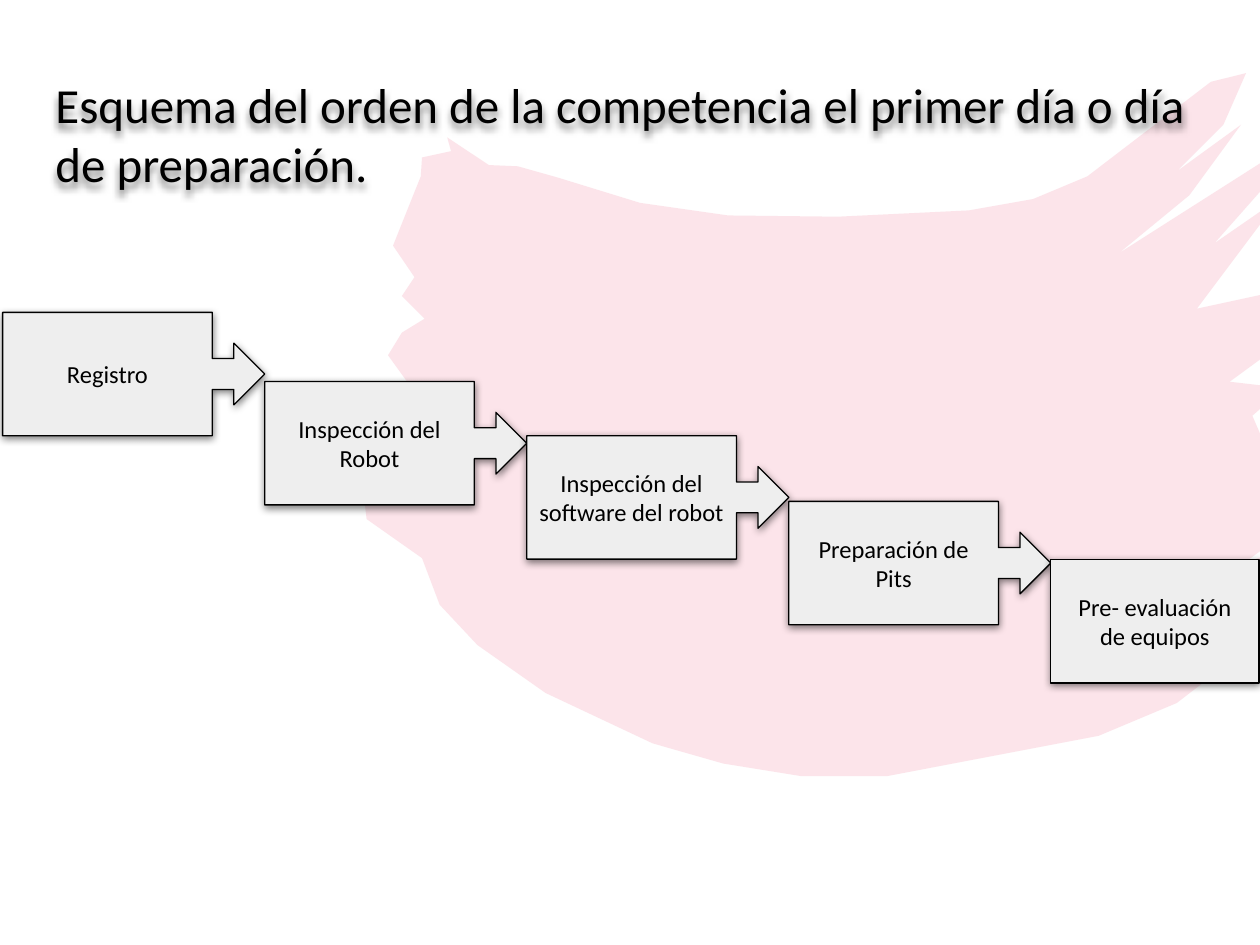
from dataclasses import dataclass

from lxml.etree import SubElement
from pptx import Presentation
from pptx.dml.color import RGBColor
from pptx.enum.shapes import MSO_SHAPE
from pptx.enum.text import MSO_ANCHOR, MSO_AUTO_SIZE, PP_ALIGN
from pptx.oxml.ns import qn
from pptx.util import Pt

BLACK = RGBColor(0x00, 0x00, 0x00)
GREY = RGBColor(0xEE, 0xEE, 0xEE)
PINK = RGBColor(0xF0, 0x7C, 0x98)
FONT = "Calibri"
INSET = Pt(7.2)
STEP_HEIGHT = 70.5
CALLOUT_WIDTH = 149.75
BOX_WIDTH = 119
STEP_LEFT = 1.5
STEP_PITCH = 149.75

# Brush stroke vertices, in units of 0.72 points
BRUSH_UNIT = Pt(0.72)
BRUSH_OUTLINE = [
    (443, 141), (508, 161), (578, 171), (665, 172), (769, 167), (820, 158),
    (863, 140), (961, 65), (989, 58), (971, 99), (934, 136), (985, 99),
    (944, 155), (888, 201), (1020, 117), (1010, 141), (964, 193),
    (1016, 157), (950, 245), (1024, 229), (1032, 262), (976, 303),
    (1019, 308), (994, 330), (1016, 381), (1048, 403), (987, 447),
    (1024, 434), (959, 495), (982, 521), (934, 558), (872, 584), (704, 616),
    (636, 616), (574, 606), (518, 590), (433, 550), (379, 512), (349, 480),
    (335, 443), (291, 412), (285, 360), (329, 311), (308, 282), (319, 264),
    (337, 253), (319, 235), (329, 220), (312, 195), (334, 140), (335, 125),
    (358, 120), (355, 109), (388, 131), (411, 132),
]


@dataclass(frozen=True)
class Step:
    text: str
    top: float
    has_arrow: bool = True


STEPS = [
    Step("Registro", 178.5),
    Step("Inspección del Robot", 218),
    Step("Inspección del software del robot", 249),
    Step("Preparación de Pits", 286.5),
    Step("Pre- evaluación de equipos", 319.75, has_arrow=False),
]


def add_shadow(shape, blur: float, distance: float, opacity: int) -> None:
    """Cast a soft black shadow straight down."""
    shape.shadow.inherit = False
    effects = shape.element.spPr.find(qn("a:effectLst"))
    shadow = SubElement(effects, qn("a:outerShdw"), blurRad=str(Pt(blur)),
                        dist=str(Pt(distance)), dir="5400000",
                        algn="bl", rotWithShape="0")
    color = SubElement(shadow, qn("a:srgbClr"), val=str(BLACK))
    SubElement(color, qn("a:alpha"), val=str(opacity * 1000))


def write_text(shape, text: str, size: float, align: PP_ALIGN,
               anchor: MSO_ANCHOR) -> None:
    frame = shape.text_frame
    frame.word_wrap = True
    frame.auto_size = MSO_AUTO_SIZE.NONE
    frame.vertical_anchor = anchor
    frame.margin_left = frame.margin_right = INSET
    frame.margin_top = frame.margin_bottom = INSET
    para = frame.paragraphs[0]
    para.alignment = align
    span = para.add_run()
    span.text = text
    span.font.name = FONT
    span.font.size = Pt(size)
    span.font.color.rgb = BLACK


def add_brush(page):
    builder = page.shapes.build_freeform(*BRUSH_OUTLINE[0], scale=BRUSH_UNIT)
    builder.add_line_segments(BRUSH_OUTLINE[1:])
    brush = builder.convert_to_shape()
    brush.shadow.inherit = False
    brush.fill.solid()
    brush.fill.fore_color.rgb = PINK
    color = brush.element.spPr.find(qn("a:solidFill")).find(qn("a:srgbClr"))
    SubElement(color, qn("a:alpha"), val="20000")
    brush.line.fill.background()
    return brush


def add_step(page, step: Step, left: float) -> None:
    kind = MSO_SHAPE.RIGHT_ARROW_CALLOUT if step.has_arrow else MSO_SHAPE.RECTANGLE
    width = CALLOUT_WIDTH if step.has_arrow else BOX_WIDTH
    box = page.shapes.add_shape(kind, Pt(left), Pt(step.top),
                                Pt(width), Pt(STEP_HEIGHT))
    if step.has_arrow:
        box.adjustments[3] = 0.8
    box.fill.solid()
    box.fill.fore_color.rgb = GREY
    box.line.color.rgb = BLACK
    box.line.width = Pt(0.75)
    add_shadow(box, blur=4.5, distance=1.5, opacity=50)
    write_text(box, step.text, 14, PP_ALIGN.CENTER, MSO_ANCHOR.MIDDLE)


def main() -> None:
    deck = Presentation()
    deck.slide_width, deck.slide_height = Pt(720), Pt(540)
    page = deck.slides.add_slide(deck.slide_layouts[5])

    title = page.shapes.title
    title.left, title.top, title.width, title.height = (
        Pt(24.5), Pt(35.25), Pt(671), Pt(45.25))
    write_text(title, "Esquema del orden de la competencia el primer día o día "
               "de preparación.", 28, PP_ALIGN.LEFT, MSO_ANCHOR.TOP)
    add_shadow(title, blur=4, distance=3, opacity=50)

    brush = add_brush(page)
    title.element.addprevious(brush.element)
    for index, step in enumerate(STEPS):
        add_step(page, step, STEP_LEFT + index * STEP_PITCH)
    deck.save("out.pptx")


if __name__ == "__main__":
    main()
